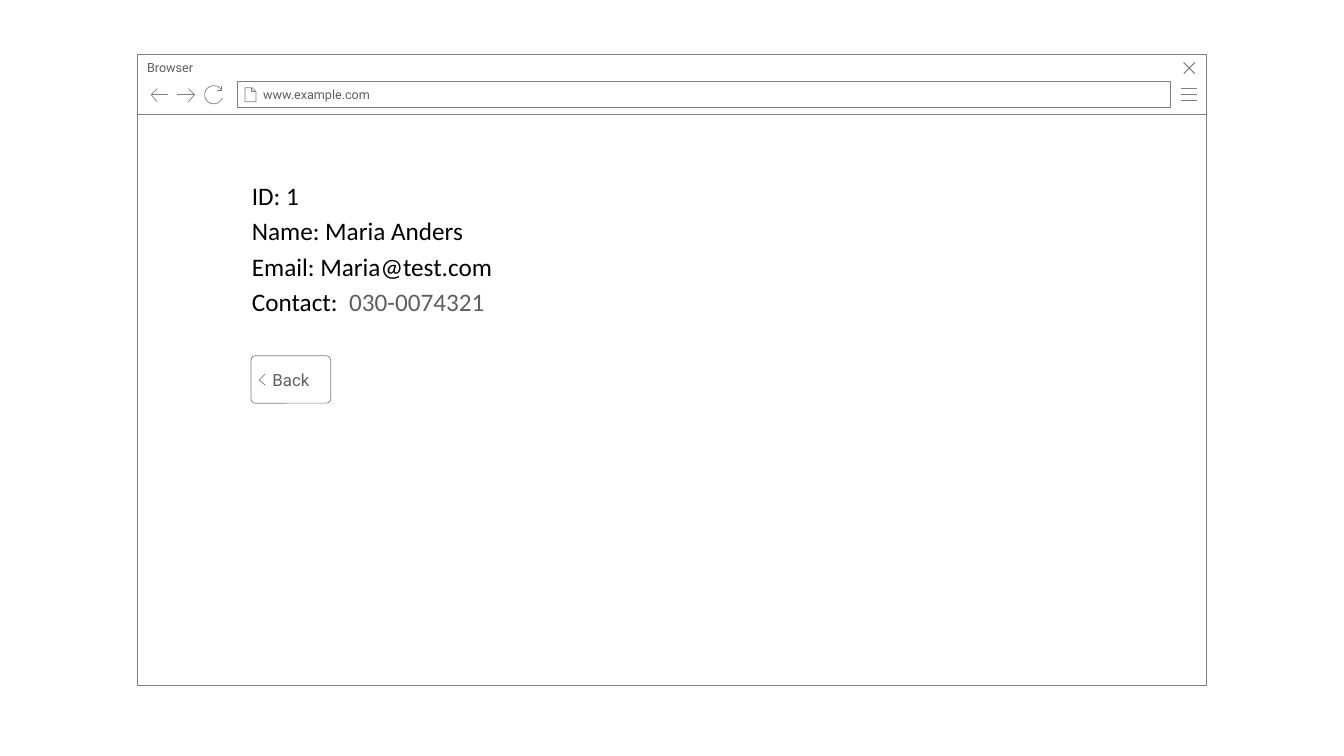
from math import cos, radians, sin

from pptx import Presentation
from pptx.dml.color import RGBColor
from pptx.enum.shapes import MSO_SHAPE
from pptx.enum.text import MSO_ANCHOR, PP_ALIGN
from pptx.util import Inches, Pt


class Theme:
    white = RGBColor(0xFF, 0xFF, 0xFF)
    line = RGBColor(0x80, 0x80, 0x80)
    muted = RGBColor(0x5F, 0x5F, 0x5F)
    black = RGBColor(0, 0, 0)
    ui_font, body_font = "Roboto", "Calibri"
    small, button, body = 9, 12, 18
    thin, medium = 0.5, 0.75


DETAILS = [
    [("ID: 1", Theme.black)],
    [("Name: Maria Anders", Theme.black)],
    [("Email: Maria@test.com", Theme.black)],
    [("Contact: ", Theme.black), (" 030-0074321", Theme.muted)],
]
DETAIL_LEFT, DETAIL_TOP, DETAIL_STEP = 2.4, 1.74, 0.35

WINDOW_LEFT, WINDOW_TOP, WINDOW_WIDTH = 1.36, 0.54, 10.61
HEADER_HEIGHT, PAGE_HEIGHT = 0.59, 5.67

RELOAD_ARC = [
    (2.12 + 0.09 * cos(radians(a)), 0.94 + 0.09 * sin(radians(a)))
    for a in range(20, 333, 8)
]
ICONS = {
    "menu": [[(11.71, y), (11.87, y)] for y in (0.88, 0.94, 1.0)],
    "close": [[(11.85, 0.62), (11.74, 0.73)], [(11.74, 0.62), (11.85, 0.73)]],
    "document": [
        [(2.49, 0.87), (2.49, 0.91), (2.54, 0.91)],
        [(2.43, 0.87), (2.43, 1.01), (2.54, 1.01), (2.54, 0.91), (2.5, 0.87), (2.43, 0.87)],
    ],
    "previous": [[(1.56, 1.01), (1.5, 0.94), (1.56, 0.88)], [(1.5, 0.94), (1.67, 0.94)]],
    "next": [[(1.87, 0.88), (1.93, 0.94), (1.87, 1.01)], [(1.93, 0.94), (1.76, 0.94)]],
    "reload": [[(2.2, 0.85), (2.2, 0.9), (2.15, 0.9)], RELOAD_ARC],
}
BACK_CHEVRON = [[(2.63, 3.82), (2.57, 3.77), (2.63, 3.71)]]


def write(shape, runs, font, size, left=0.1, right=0.1, anchor=MSO_ANCHOR.MIDDLE):
    frame = shape.text_frame
    frame.word_wrap = True
    frame.vertical_anchor = anchor
    frame.margin_left, frame.margin_right = Inches(left), Inches(right)
    frame.margin_top = frame.margin_bottom = Inches(0.05)
    paragraph = frame.paragraphs[0]
    paragraph.alignment = PP_ALIGN.LEFT
    for text, color in runs:
        run = paragraph.add_run()
        run.text = text
        run.font.name, run.font.size = font, Pt(size)
        run.font.color.rgb = color


def outline(shape, width=Theme.thin):
    shape.shadow.inherit = False
    shape.line.color.rgb = Theme.line
    shape.line.width = Pt(width)


def panel(group, left, top, width, height, kind=MSO_SHAPE.RECTANGLE):
    shape = group.shapes.add_shape(
        kind, Inches(left), Inches(top), Inches(width), Inches(height))
    shape.fill.solid()
    shape.fill.fore_color.rgb = Theme.white
    outline(shape)
    return shape


def icon(group, strokes, width=Theme.thin):
    paths = [[(Inches(x), Inches(y)) for x, y in stroke] for stroke in strokes]
    builder = group.shapes.build_freeform(*paths[0][0], scale=1.0)
    for i, path in enumerate(paths):
        if i:
            builder.move_to(*path[0])
        builder.add_line_segments(path[1:], close=path[0] == path[-1])
    shape = builder.convert_to_shape()
    shape.fill.background()
    outline(shape, width)


prs = Presentation()
prs.slide_width, prs.slide_height = Inches(13.33), Inches(7.5)
slide = prs.slides.add_slide(prs.slide_layouts[6])

browser = slide.shapes.add_group_shape()
panel(browser, WINDOW_LEFT, WINDOW_TOP + HEADER_HEIGHT, WINDOW_WIDTH, PAGE_HEIGHT)
header = panel(browser, WINDOW_LEFT, WINDOW_TOP, WINDOW_WIDTH, HEADER_HEIGHT)
write(header, [("Browser", Theme.muted)], Theme.ui_font, Theme.small,
      right=0.25, anchor=MSO_ANCHOR.TOP)
address = panel(browser, 2.35, 0.81, 9.26, 0.26)
write(address, [("www.example.com", Theme.muted)], Theme.ui_font, Theme.small, left=0.26)
for name, strokes in ICONS.items():
    icon(browser, strokes, Theme.medium if name == "close" else Theme.thin)

back = slide.shapes.add_group_shape()
button = panel(back, 2.49, 3.53, 0.79, 0.47, MSO_SHAPE.ROUNDED_RECTANGLE)
button.adjustments[0] = 0.09
write(button, [("Back", Theme.muted)], Theme.ui_font, Theme.button, left=0.2, right=0.07)
icon(back, BACK_CHEVRON)

for row, runs in enumerate(DETAILS):
    box = slide.shapes.add_textbox(
        Inches(DETAIL_LEFT), Inches(DETAIL_TOP + row * DETAIL_STEP), Inches(3.56), Inches(0.4))
    write(box, runs, Theme.body_font, Theme.body, anchor=MSO_ANCHOR.TOP)

prs.save("out.pptx")
